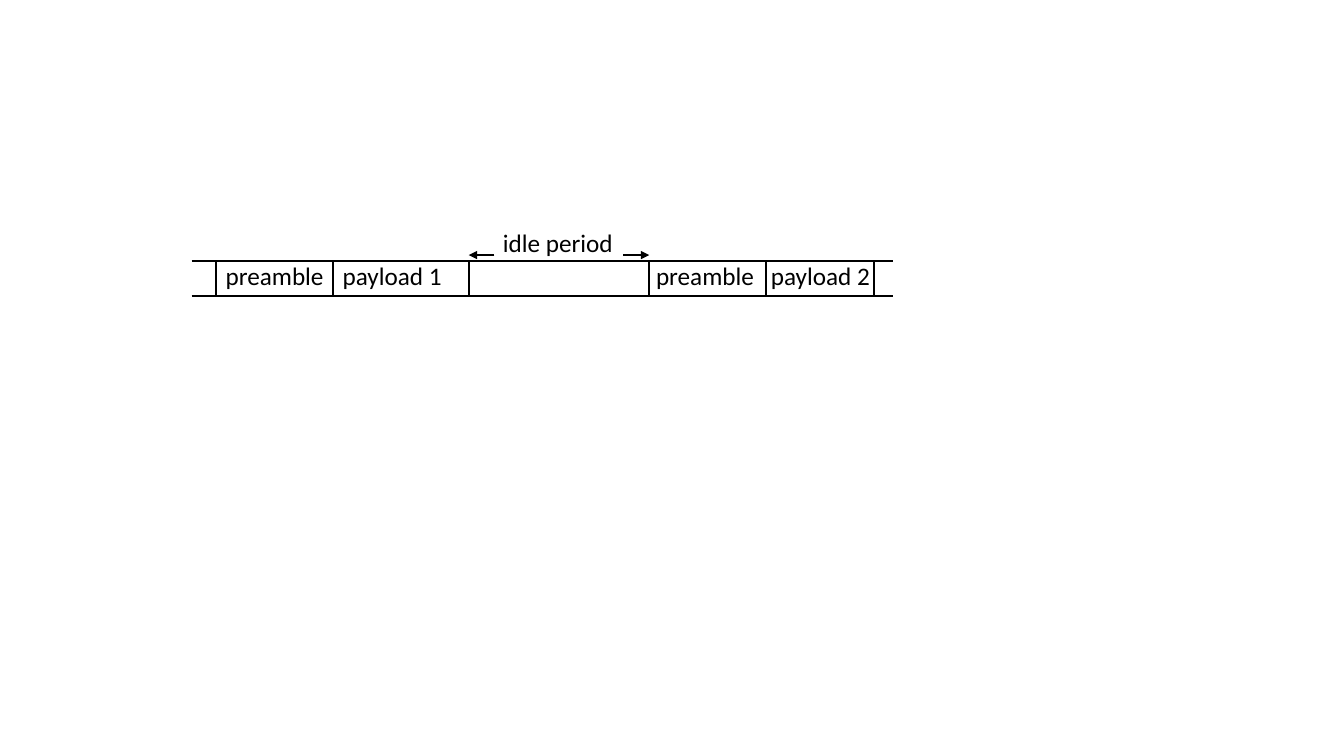
from lxml.etree import SubElement
from pptx import Presentation
from pptx.dml.color import RGBColor
from pptx.enum.shapes import MSO_CONNECTOR as Connector
from pptx.enum.text import MSO_AUTO_SIZE as AutoSize
from pptx.oxml.ns import qn
from pptx.util import Pt

COLORS = {"ink": "000000", "background": "FFFFFF"}
FONT = {"name": "Calibri", "size": Pt(18)}
FRAME = {"word_wrap": True, "auto_size": AutoSize.SHAPE_TO_FIT_TEXT}


def apply_format(target, values):
    for name, value in values.items():
        setattr(target, name, value)


class Diagram:
    def __init__(self, slide):
        self.slide = slide
        self.ink = RGBColor.from_string(COLORS["ink"])
        fill = slide.background.fill
        fill.solid()
        fill.fore_color.rgb = RGBColor.from_string(COLORS["background"])

    def line(self, start, end, width=1.5):
        points = [Pt(value) for value in (*start, *end)]
        connector = self.slide.shapes.add_connector(Connector.STRAIGHT, *points)
        connector.line.color.rgb = self.ink
        connector.line.width = Pt(width)
        SubElement(connector._element.spPr, qn("a:effectLst"))
        return connector

    def arrow(self, start, end):
        connector = self.line(start, end, width=1)
        SubElement(connector.line._get_or_add_ln(), qn("a:tailEnd"), type="triangle")

    def label(self, text, left, top, width, height=29.08):
        box = [Pt(value) for value in (left, top, width, height)]
        frame = self.slide.shapes.add_textbox(*box).text_frame
        apply_format(frame, FRAME)
        run = frame.paragraphs[0].add_run()
        run.text = text
        apply_format(run.font, FONT)
        run.font.color.rgb = self.ink


presentation = Presentation()
apply_format(presentation, {"slide_width": Pt(960), "slide_height": Pt(540)})
diagram = Diagram(presentation.slides.add_slide(presentation.slide_layouts[6]))

STREAM_LEFT, STREAM_RIGHT = 136.8, 637.9
STREAM_TOP, STREAM_BOTTOM = 186.4, 211.6
IDLE_START, IDLE_END = 334.8, 463.7
FIELD_BORDERS = [154.1, 237.6, IDLE_START, IDLE_END, 547.2, 624.2]
FIELD_LABELS = [
    ("preamble", 154.1, 85),
    ("payload 1", 237.6, 87.8),
    ("preamble", 461.5, 85),
    ("payload 2", 543.6, 164),
]
LABEL_TOP = 182.2
ARROW_Y, ARROW_LENGTH = 182.2, 18.4

for y in (STREAM_TOP, STREAM_BOTTOM):
    diagram.line((STREAM_LEFT, y), (STREAM_RIGHT, y))
for x in FIELD_BORDERS:
    diagram.line((x, STREAM_TOP), (x, STREAM_BOTTOM))
for text, left, width in FIELD_LABELS:
    diagram.label(text, left, LABEL_TOP, width)

for tip, direction in ((IDLE_START, 1), (IDLE_END, -1)):
    diagram.arrow((tip + direction * ARROW_LENGTH, ARROW_Y), (tip, ARROW_Y))
diagram.label("idle period", 352.1, 159.1, 170)

presentation.save("out.pptx")
